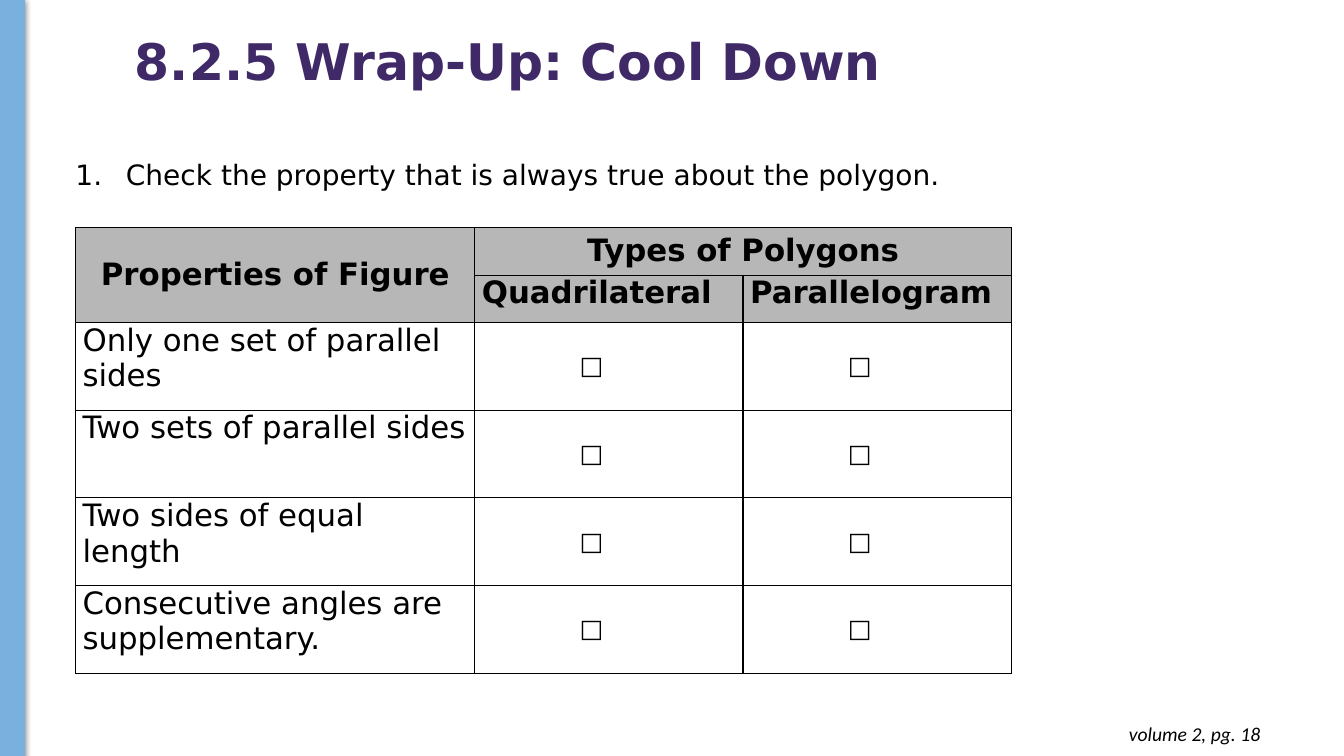
from lxml import etree
from pptx import Presentation
from pptx.dml.color import RGBColor
from pptx.enum.shapes import MSO_SHAPE
from pptx.enum.text import MSO_ANCHOR, PP_ALIGN
from pptx.oxml.ns import qn
from pptx.util import Inches, Pt

RECT = MSO_SHAPE.RECTANGLE
TOP, MID = MSO_ANCHOR.TOP, MSO_ANCHOR.MIDDLE
LEFT, CENTER, RIGHT = PP_ALIGN.LEFT, PP_ALIGN.CENTER, PP_ALIGN.RIGHT
BLUE = RGBColor(0x79, 0xB0, 0xDD)
PURPLE = RGBColor(0x3F, 0x2A, 0x67)
BLACK = RGBColor(0, 0, 0)
GRAY = RGBColor(0xB7, 0xB7, 0xB7)
SANS = "DejaVu Sans"

# Content
TITLE = "8.2.5 Wrap-Up: Cool Down"
TASK = "Check the property that is always true about the polygon."
PAGE = "volume 2, pg. 18"
HEADS = [["Properties of Figure", "Types of Polygons", ""],
         ["", "Quadrilateral", "Parallelogram"]]
TRAITS = ["Only one set of parallel sides", "Two sets of parallel sides",
          "Two sides of equal length", "Consecutive angles are supplementary."]
BOX = "□"
COLS = [3.96, 2.66, 2.66]
HEAD_H, ROW_H = 0.47, 0.87

# Formats
BIG = dict(name=SANS, size=Pt(36), bold=True, color=PURPLE)
BODY = dict(name=SANS, size=Pt(20), color=BLACK)
NOTE = dict(name="Calibri", size=Pt(14), italic=True, color=BLACK)
CELL = dict(name=SANS, size=Pt(22), bold=False, color=BLACK)
HEAD = dict(CELL, bold=True)
CHECK = dict(CELL, size=Pt(18))


def add(parent, tag, **attrs):
    return etree.SubElement(parent, qn(tag), attrs)


def style(font, fmt):
    for key, val in fmt.items():
        if key == "color":
            font.color.rgb = val
        else:
            setattr(font, key, val)


def write(para, text, fmt, align=LEFT):
    para.alignment = align
    run = para.add_run()
    run.text = text
    style(run.font, fmt)


def bullet(para, tag, **attrs):
    props = para._p.get_or_add_pPr()
    props.set("marL", str(Inches(0.5)))
    props.set("indent", str(Inches(-0.5)))
    add(props, "a:buFont", typeface=SANS)
    add(props, tag, **attrs)


def text_box(place, text, fmt, align=LEFT, anchor=TOP, pad=0.05):
    frame = slide.shapes.add_textbox(*map(Inches, place)).text_frame
    frame.word_wrap = True
    frame.vertical_anchor = anchor
    frame.margin_top = frame.margin_bottom = Inches(pad)
    para = frame.paragraphs[0]
    write(para, text, fmt, align)
    return para


def border(cell):
    props = cell._tc.get_or_add_tcPr()
    for spot, side in enumerate(("a:lnL", "a:lnR", "a:lnT", "a:lnB")):
        line = add(props, side, w=str(Pt(1)))
        add(add(line, "a:solidFill"), "a:srgbClr", val=str(BLACK))
        props.insert(spot, line)


def fill_cell(cell, text, fmt, align, anchor, pads):
    sides = ("margin_left", "margin_top", "margin_right", "margin_bottom")
    for side, pad in zip(sides, pads):
        setattr(cell, side, Inches(pad))
    cell.vertical_anchor = anchor
    para = cell.text_frame.paragraphs[0]
    if text == BOX:
        # The check box is a bullet, which draws only beside a run
        bullet(para, "a:buChar", char=BOX)
        write(para, " ", fmt, align)
    elif text:
        write(para, text, fmt, align)
        para.space_after = Pt(10)


prs = Presentation()
prs.slide_width, prs.slide_height = Inches(13.33), Inches(7.5)
slide = prs.slides.add_slide(prs.slide_layouts[6])

# Side bar with a soft shadow
bar = slide.shapes.add_shape(RECT, 0, Inches(-0.01), Inches(0.24), Inches(7.51))
bar.fill.solid()
bar.fill.fore_color.rgb = bar.line.color.rgb = BLUE
bar.line.width = Pt(0.75)
bar.shadow.inherit = False
glow = add(bar._element.spPr.find(qn("a:effectLst")), "a:outerShdw",
           blurRad=str(Pt(4.5)), dist=str(Pt(1.5)), dir="5400000", rotWithShape="0")
add(add(glow, "a:srgbClr", val=str(BLACK)), "a:alpha", val="50000")

# Page note, title and numbered task
text_box((9.72, 7.06, 2.88, 0.44), PAGE, NOTE, RIGHT, pad=0.1)
text_box((1.24, -0.09, 8.77, 1.45), TITLE, BIG, anchor=MID).line_spacing = 0.9
task = text_box((0.65, 1.51, 9.11, 0.44), TASK, BODY)
bullet(task, "a:buAutoNum", type="arabicPeriod")

# Table of properties
rows = HEADS + [[trait, BOX, BOX] for trait in TRAITS]
highs = [HEAD_H] * len(HEADS) + [ROW_H] * len(TRAITS)
table = slide.shapes.add_table(len(rows), len(COLS), Inches(0.75), Inches(2.26),
                               Inches(sum(COLS)), Inches(sum(highs))).table
table.first_row = table.horz_banding = False
for col, wide in zip(table.columns, COLS):
    col.width = Inches(wide)
for r, (row, high) in enumerate(zip(rows, highs)):
    table.rows[r].height = Inches(high)
    for c, text in enumerate(row):
        cell = table.cell(r, c)
        head = r < len(HEADS)
        if head:
            cell.fill.solid()
            cell.fill.fore_color.rgb = GRAY
        else:
            cell.fill.background()
        border(cell)
        if text == BOX:
            look = CHECK, CENTER, MID, (0.07, 0, 0.07, 0)
        elif r == 0:
            look = HEAD, CENTER, TOP if c else MID, (0.11, 0.05, 0.11, 0.05)
        else:
            look = HEAD if head else CELL, LEFT, TOP, (0.07, 0, 0.07, 0)
        fill_cell(cell, text, *look)
table.cell(0, 0).merge(table.cell(1, 0))
table.cell(0, 1).merge(table.cell(0, 2))

prs.save("out.pptx")
